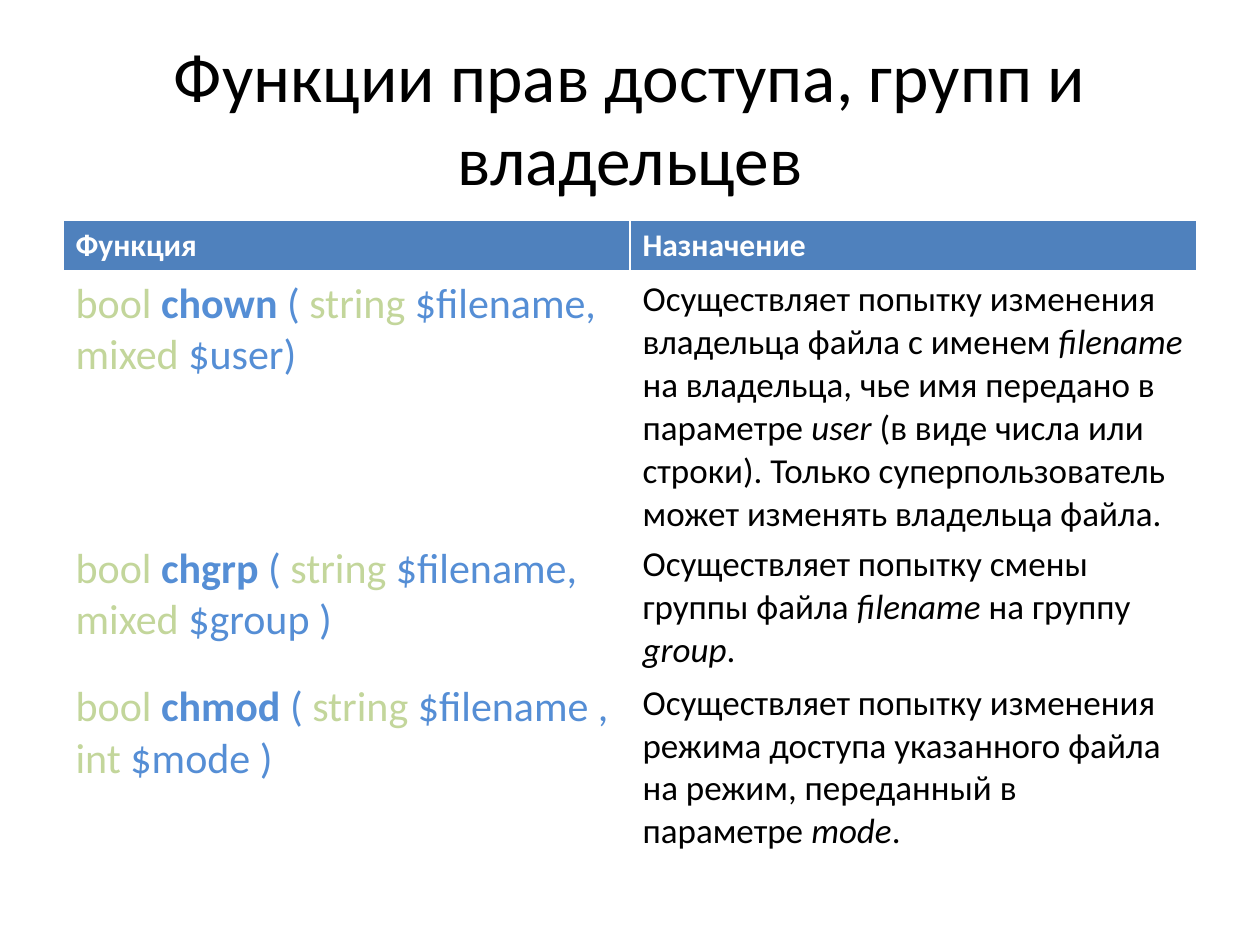
from lxml import etree
from pptx import Presentation, util as u
from pptx.dml.color import RGBColor
from pptx.enum import text
from pptx.oxml.ns import qn

FONT = "Calibri"
COLORS = {
    "ink": "000000",
    "white": "FFFFFF",
    "head": "4F81BD",
    "type": "C3D69B",
    "code": "558ED5",
}
HEADS = ["Функция", "Назначение"]
HEIGHTS = [0.41, 2.1, 1.1, 1.43]
ROWS = [
    (
        ("chown ", "( ", " $filename, ", "mixed ", "$user)"),
        [
            "Осуществляет попытку изменения владельца файла с именем ",
            "filename",
            " на владельца, чье имя передано в параметре ",
            "user",
            " (в виде числа или строки). Только суперпользователь "
            "может изменять владельца файла. ",
        ],
    ),
    (
        ("chgrp ", "( ", " $filename, ", "mixed ", "$group )"),
        [
            "Осуществляет попытку смены группы файла ",
            "filename",
            " на группу ",
            "group",
            ". ",
        ],
    ),
    (
        ("chmod", " ( ", " $filename , ", "int ", "$mode )"),
        [
            "Осуществляет попытку изменения режима доступа указанного "
            "файла на режим, переданный в параметре ",
            "mode",
            ". ",
        ],
    ),
]


def color(name):
    return RGBColor.from_string(COLORS[name])


def add_run(para, words, size, tone, bold=False, italic=False):
    run = para.add_run()
    run.text = words
    font = run.font
    font.name, font.size = FONT, u.Pt(size)
    font.bold, font.italic = bold, italic
    font.color.rgb = color(tone)


def add_title(slide, words):
    box = slide.shapes.add_textbox(
        u.Inches(0.5), u.Inches(0.3), u.Inches(9), u.Inches(1.25)
    )
    frame = box.text_frame
    frame.word_wrap = True
    frame.vertical_anchor = text.MSO_ANCHOR.MIDDLE
    para = frame.paragraphs[0]
    para.alignment = text.PP_ALIGN.CENTER
    add_run(para, words, 39.6, "ink")


def set_edges(cell, base):
    props = cell._tc.get_or_add_tcPr()
    widths = {"lnL": 1, "lnR": 1, "lnT": 1, "lnB": base}
    for spot, (tag, width) in enumerate(widths.items()):
        line = etree.Element(qn("a:" + tag), w=str(u.Pt(width)))
        fill = etree.SubElement(line, qn("a:solidFill"))
        etree.SubElement(fill, qn("a:srgbClr"), val=COLORS["white"])
        props.insert(spot, line)


def fill_head(cell, words):
    cell.fill.solid()
    cell.fill.fore_color.rgb = color("head")
    set_edges(cell, 3)
    add_run(cell.text_frame.paragraphs[0], words, 18, "white", bold=True)


def fill_code(cell, parts):
    name, start, first, kind, last = parts
    para = cell.text_frame.paragraphs[0]
    add_run(para, "bool ", 24, "type")
    add_run(para, name, 24, "code", bold=True)
    add_run(para, start, 24, "code")
    add_run(para, "string", 24, "type")
    add_run(para, first, 24, "code")
    add_run(para, kind, 24, "type")
    add_run(para, last, 24, "code")


def fill_note(cell, parts):
    para = cell.text_frame.paragraphs[0]
    for spot, words in enumerate(parts):
        add_run(para, words, 20, "ink", italic=spot % 2 == 1)


def add_grid(slide):
    table = slide.shapes.add_table(
        len(HEIGHTS), len(HEADS),
        u.Inches(0.5), u.Inches(1.75), u.Inches(9), u.Inches(5.04),
    ).table
    table.horz_banding = False
    for row, height in zip(table.rows, HEIGHTS):
        row.height = u.Inches(height)
    for col, words in enumerate(HEADS):
        fill_head(table.cell(0, col), words)
    for row, (code, note) in enumerate(ROWS, 1):
        for col, (fill, parts) in enumerate([(fill_code, code), (fill_note, note)]):
            cell = table.cell(row, col)
            cell.fill.background()
            set_edges(cell, 1)
            fill(cell, parts)


def main():
    deck = Presentation()
    deck.slide_width, deck.slide_height = u.Inches(10), u.Inches(7.5)
    slide = deck.slides.add_slide(deck.slide_layouts[6])
    add_title(slide, "Функции прав доступа, групп и владельцев")
    add_grid(slide)
    deck.save("out.pptx")


main()
